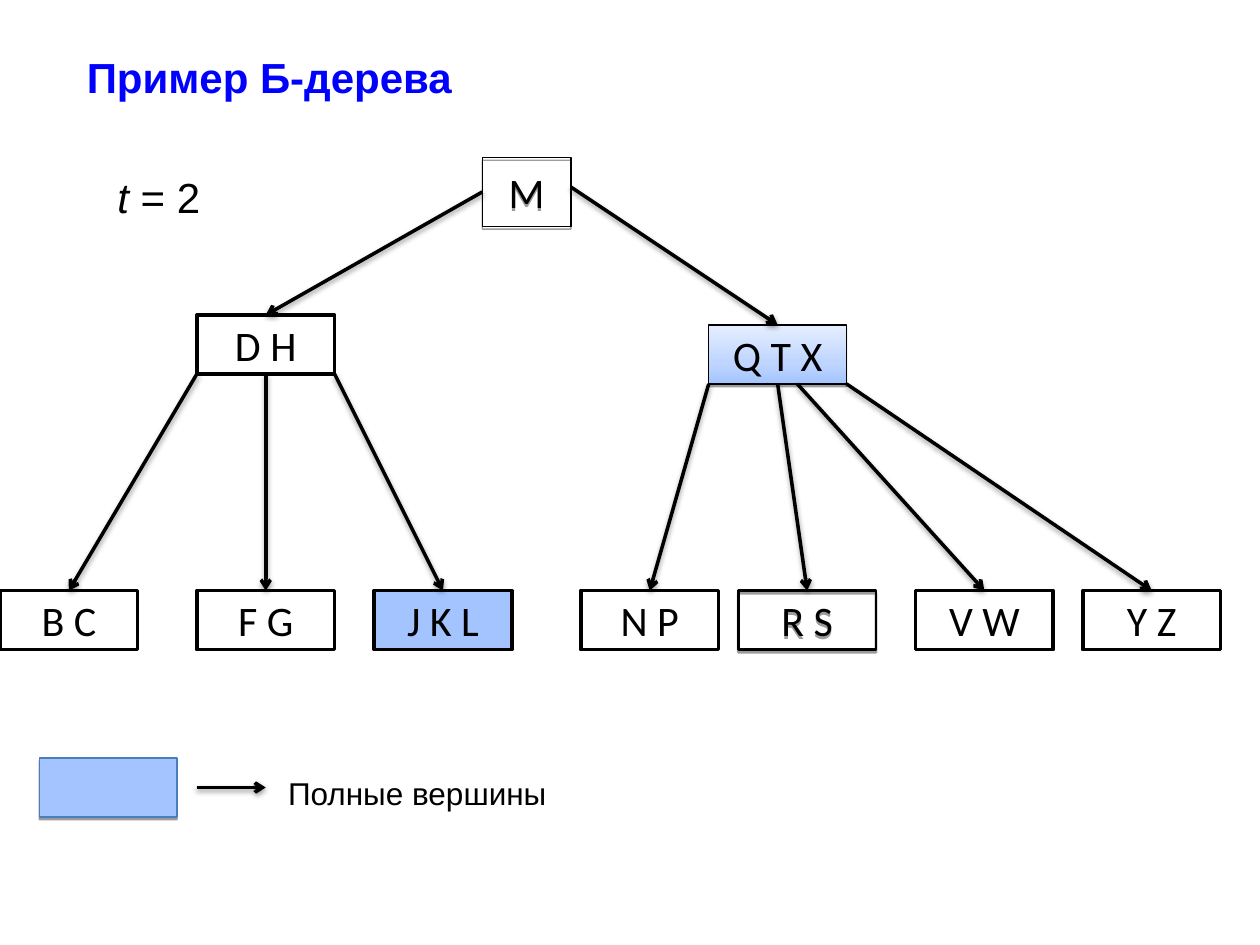
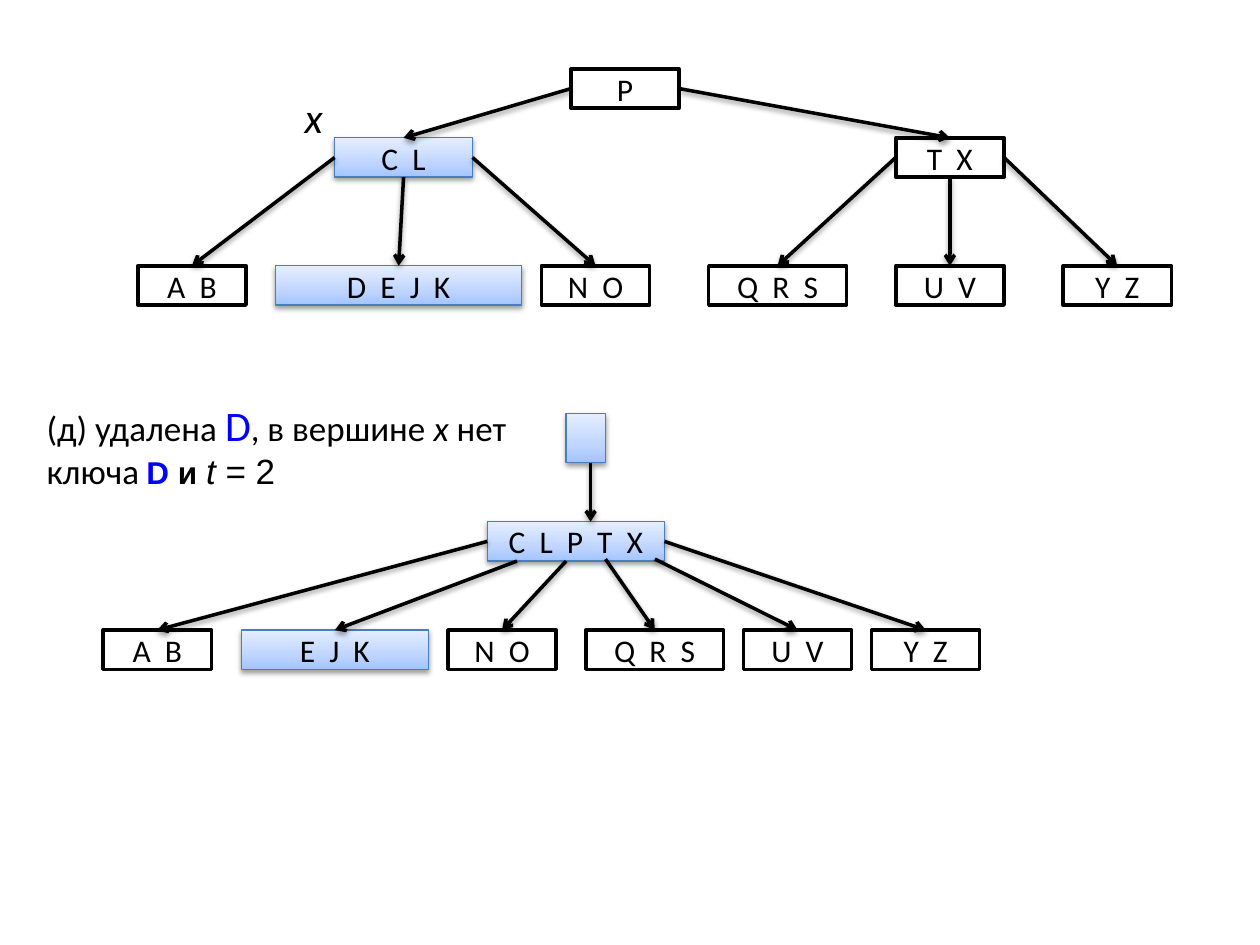
from copy import deepcopy

from lxml import etree
from pptx import Presentation
from pptx.dml.color import RGBColor
from pptx.enum.shapes import MSO_CONNECTOR, MSO_SHAPE
from pptx.enum.text import MSO_ANCHOR, MSO_AUTO_SIZE, PP_ALIGN
from pptx.oxml.ns import qn
from pptx.util import Pt

RECTANGLE = MSO_SHAPE.RECTANGLE
STRAIGHT = MSO_CONNECTOR.STRAIGHT
MIDDLE = MSO_ANCHOR.MIDDLE
CENTER = PP_ALIGN.CENTER
FIT_SHAPE = MSO_AUTO_SIZE.SHAPE_TO_FIT_TEXT
TOP, LEFT, BOTTOM, RIGHT = range(4)

COLORS = {
    "black": "000000",
    "white": "FFFFFF",
    "key": "0000FF",
    "full": "A3C4FF",
    "middle": "BFD5FF",
    "light": "E5EEFF",
    "border": "4A7EBB",
}
GRADIENT = [(0, "full"), (0.35, "middle"), (1, "light")]

# Node styles: fill, line colour, line width, shadow blur (None for no shadow)
STYLES = {
    "plain": ("white", "black", 2, None),
    "full": ("full", "black", 2, None),
    "open": (None, "black", 0.75, 0),
    "open bold": (None, "black", 1.5, 0),
    "full gradient": (GRADIENT, "black", 0.75, 0),
    "legend": ("full", "border", 0.75, 0),
    "changed": (GRADIENT, "border", 0.75, 3.1),
}


def add_run(paragraph, text, size=18, font="Calibri", color="black",
            bold=False, italic=False, spacing=0):
    """Append formatted text; spacing is the extra gap after each letter in points."""
    run = paragraph.add_run()
    run.text = text
    run.font.size = Pt(size)
    run.font.name = font
    run.font.bold = bold
    run.font.italic = italic
    run.font.color.rgb = RGBColor.from_string(COLORS[color])
    if spacing:
        run.font._element.set("spc", str(round(spacing * 100)))


def add_shadow(drawn, blur):
    """Give a shape or connector a soft black shadow straight below it."""
    properties = drawn._element.spPr
    effects = properties.find(qn("a:effectLst"))
    if effects is None:
        effects = etree.SubElement(properties, qn("a:effectLst"))
    shadow = etree.SubElement(effects, qn("a:outerShdw"), blurRad=str(Pt(blur)),
                              dist=str(Pt(1.6)), dir="5400000", rotWithShape="0")
    color = etree.SubElement(shadow, qn("a:srgbClr"), val=COLORS["black"])
    etree.SubElement(color, qn("a:alpha"), val="38000")


presentation = Presentation()
presentation.slide_width = Pt(720)
presentation.slide_height = Pt(540)
example_slide, deletion_slide = [
    presentation.slides.add_slide(presentation.slide_layouts[6]) for _ in range(2)
]

# A node is text, left, top, width, height, style.
# An arrow end is either a node with one of its sides, or a point.
NARROW, WIDE = 61.88, 78.75
TALL, LOW = 33.75, 22.5
LEAVES, BEFORE, AFTER = 337.5, 151.88, 360

example_tree = {
    "slide": example_slide, "size": 24, "spacing": 0,
    "nodes": [
        ("M", 275.63, 90, 50.63, 39.38, "open"),
        ("D H", 112.5, 180, WIDE, TALL, "plain"),
        ("Q T X", 405, 185.63, WIDE, TALL, "full gradient"),
        ("B C", 0, LEAVES, WIDE, TALL, "plain"),
        ("F G", 112.5, LEAVES, WIDE, TALL, "plain"),
        ("J K L", 213.75, LEAVES, WIDE, TALL, "full"),
        ("N P", 331.88, LEAVES, WIDE, TALL, "plain"),
        ("R S", 421.88, LEAVES, WIDE, TALL, "open bold"),
        ("V W", 523.13, LEAVES, WIDE, TALL, "plain"),
        ("Y Z", 618.75, LEAVES, WIDE, TALL, "plain"),
        ("", 22.5, 433.13, WIDE, TALL, "legend"),
    ],
    "arrows": [
        (("M", LEFT), ("D H", TOP)),
        ((326.25, 106.88), ("Q T X", TOP)),
        ((112.5, 213.75), ("B C", TOP)),
        (("D H", BOTTOM), ("F G", TOP)),
        ((191.25, 213.75), ("J K L", TOP)),
        ((405, 219.38), ("N P", TOP)),
        (("Q T X", BOTTOM), ("R S", TOP)),
        ((455.63, 219.38), ("V W", TOP)),
        ((483.75, 219.38), ("Y Z", TOP)),
        ((112.5, 450), (151.88, 450)),
    ],
}
tree_before = {
    "slide": deletion_slide, "size": 18, "spacing": 2,
    "nodes": [
        ("P", 326.25, 39.38, NARROW, LOW, "plain"),
        ("C L", 191.25, 78.75, WIDE, LOW, "changed"),
        ("T X", 511.88, 78.75, NARROW, LOW, "plain"),
        ("A B", 78.75, BEFORE, NARROW, LOW, "plain"),
        ("D E J K", 157.5, BEFORE, 140.63, LOW, "changed"),
        ("N O", 309.38, BEFORE, NARROW, LOW, "plain"),
        ("Q R S", 405, BEFORE, WIDE, LOW, "plain"),
        ("U V", 511.88, BEFORE, NARROW, LOW, "plain"),
        ("Y Z", 607.5, BEFORE, NARROW, LOW, "plain"),
    ],
    "arrows": [
        (("P", LEFT), ("C L", TOP)),
        (("P", RIGHT), ("T X", TOP)),
        (("C L", LEFT), ("A B", TOP)),
        (("C L", BOTTOM), ("D E J K", TOP)),
        (("C L", RIGHT), ("N O", TOP)),
        (("T X", LEFT), ("Q R S", TOP)),
        (("T X", BOTTOM), ("U V", TOP)),
        (("T X", RIGHT), ("Y Z", TOP)),
    ],
}
tree_after = {
    "slide": deletion_slide, "size": 18, "spacing": 2,
    "nodes": [
        ("", 323.5, 236.25, 22.5, 28.13, "changed"),
        ("C L P T X", 278.5, 298.13, 101.25, LOW, "changed"),
        ("A B", 59, AFTER, NARROW, LOW, "plain"),
        ("E J K", 138, AFTER, 106.88, LOW, "changed"),
        ("N O", 256, AFTER, NARROW, LOW, "plain"),
        ("Q R S", 334.75, AFTER, WIDE, LOW, "plain"),
        ("U V", 424.75, AFTER, NARROW, LOW, "plain"),
        ("Y Z", 498, AFTER, NARROW, LOW, "plain"),
    ],
    "arrows": [
        ((337.5, 264.38), (337.5, 298.13)),
        (("C L P T X", LEFT), ("A B", TOP)),
        ((295.38, 320.63), ("E J K", TOP)),
        ((323.5, 320.63), ("N O", TOP)),
        ((346, 319.5), ("Q R S", TOP)),
        ((374.25, 319.5), ("U V", TOP)),
        (("C L P T X", RIGHT), ("Y Z", TOP)),
    ],
}

for tree in (example_tree, tree_before, tree_after):
    shapes = tree["slide"].shapes
    nodes = {}
    for text, left, top, width, height, style in tree["nodes"]:
        fill, line_color, line_width, blur = STYLES[style]
        node = shapes.add_shape(RECTANGLE, Pt(left), Pt(top), Pt(width), Pt(height))
        nodes[text] = node
        if fill is None:
            node.fill.background()
        elif fill is GRADIENT:
            node.fill.gradient()
            node.fill.gradient_angle = 90
            stops = node._element.spPr.find(qn("a:gradFill")).find(qn("a:gsLst"))
            stops.insert(1, deepcopy(stops[0]))
            for stop, (position, color) in zip(node.fill.gradient_stops, GRADIENT):
                stop.position = position
                stop.color.rgb = RGBColor.from_string(COLORS[color])
        else:
            node.fill.solid()
            node.fill.fore_color.rgb = RGBColor.from_string(COLORS[fill])
        node.line.color.rgb = RGBColor.from_string(COLORS[line_color])
        node.line.width = Pt(line_width)
        node.shadow.inherit = False
        if blur is not None:
            add_shadow(node, blur)
        if text:
            node.text_frame.vertical_anchor = MIDDLE
            paragraph = node.text_frame.paragraphs[0]
            paragraph.alignment = CENTER
            add_run(paragraph, text, size=tree["size"], spacing=tree["spacing"])

    for start, end in tree["arrows"]:
        arrow = shapes.add_connector(STRAIGHT, 0, 0, 0, 0)
        if start[0] in nodes:
            arrow.begin_connect(nodes[start[0]], start[1])
        else:
            arrow.begin_x, arrow.begin_y = Pt(start[0]), Pt(start[1])
        if end[0] in nodes:
            arrow.end_connect(nodes[end[0]], end[1])
        else:
            arrow.end_x, arrow.end_y = Pt(end[0]), Pt(end[1])
        arrow.line.color.rgb = RGBColor.from_string(COLORS["black"])
        arrow.line.width = Pt(2)
        line = arrow._element.spPr.find(qn("a:ln"))
        etree.SubElement(line, qn("a:tailEnd"), type="arrow")
        add_shadow(arrow, 3.1)

ARIAL_24 = {"size": 24, "font": "Arial"}
ARIAL_20 = {"size": 20, "font": "Arial"}
ARIAL_BOLD = {"font": "Arial", "bold": True}

# Captions: slide, left, top, width, height, paragraphs made of (text, format) runs
captions = [
    (example_slide, 42.5, 26, 250, 36, [
        [("Пример Б-дерева", {**ARIAL_24, "bold": True, "color": "key"})],
    ]),
    (example_slide, 60, 94.5, 95.5, 36, [
        [("t ", {**ARIAL_24, "italic": True}), ("= 2", ARIAL_24)],
    ]),
    (example_slide, 157.5, 438.75, 168.75, 29, [
        [("Полные вершины", {"font": "Arial"})],
    ]),
    (deletion_slide, 167, 49, 25, 36, [[("х", {"size": 24, "italic": True})]]),
    (deletion_slide, 19.5, 224.75, 278, 60, [
        [
            ("(д) удалена ", {"size": 20}),
            ("D", {"size": 24, "color": "key"}),
            (", в вершине ", {"size": 20}),
            ("х", {"size": 20, "italic": True}),
            (" нет", {"size": 20}),
        ],
        [
            ("ключа", {"size": 20}),
            (" ", {}),
            ("D ", {**ARIAL_BOLD, "color": "key"}),
            ("и ", ARIAL_BOLD),
            ("t ", {**ARIAL_20, "italic": True}),
            ("= 2", ARIAL_20),
        ],
    ]),
]

for slide, left, top, width, height, paragraphs in captions:
    caption = slide.shapes.add_textbox(Pt(left), Pt(top), Pt(width), Pt(height))
    frame = caption.text_frame
    frame.word_wrap = False
    frame.auto_size = FIT_SHAPE
    for index, runs in enumerate(paragraphs):
        paragraph = frame.add_paragraph() if index else frame.paragraphs[0]
        for text, text_format in runs:
            add_run(paragraph, text, **text_format)

presentation.save("out.pptx")
